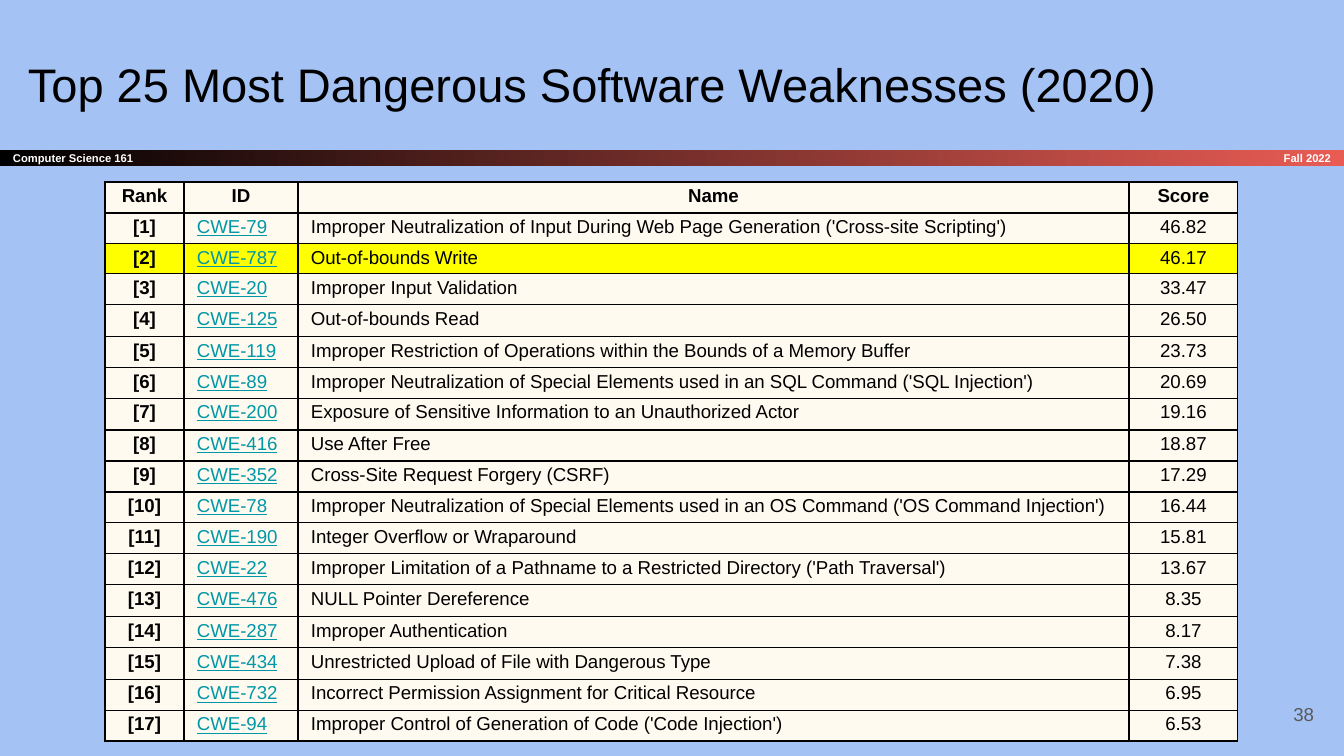
import dataclasses

import lxml.etree
import pptx
import pptx.dml.color
import pptx.enum.shapes
import pptx.enum.text
import pptx.oxml.ns
import pptx.util

ALIGN = pptx.enum.text.PP_ALIGN
ANCHOR = pptx.enum.text.MSO_ANCHOR


@dataclasses.dataclass(frozen=True)
class Theme:
    font: str = "Arial"
    background: str = "A4C2F4"
    ink: str = "000000"
    accent: str = "E85C54"
    light: str = "FFFFFF"
    muted: str = "595959"
    link: str = "0097A7"
    cell: str = "FFFAF0"
    highlight: str = "FFFF00"
    title_size: float = 25.2
    body_size: float = 10
    banner_size: float = 6
    border_width: float = 0.75


def px(length):
    return pptx.util.Emu(round(length * 914400 / 134.4))


def rgb(color):
    return pptx.dml.color.RGBColor.from_string(color)


class SlideBuilder:
    def __init__(self, deck, theme):
        self.theme = theme
        self.page = deck.slides.add_slide(deck.slide_layouts[6])
        fill = self.page.background.fill
        fill.solid()
        fill.fore_color.rgb = rgb(theme.background)

    def set_text(self, frame, text, size, color, align=ALIGN.LEFT, bold=False, underline=False):
        para = frame.paragraphs[0]
        para.add_run().text = text
        para.alignment = align
        font = para.font
        font.name = self.theme.font
        font.size = pptx.util.Pt(size)
        font.bold = bold
        font.underline = underline
        font.color.rgb = rgb(color)

    def fit(self, frame, anchor):
        frame.word_wrap = True
        frame.vertical_anchor = anchor
        frame.margin_left = frame.margin_right = px(13)
        frame.margin_top = frame.margin_bottom = px(13)

    def text(self, left, top, width, height, text, size, color, anchor=ANCHOR.MIDDLE, **style):
        box = self.page.shapes.add_textbox(px(left), px(top), px(width), px(height))
        self.fit(box.text_frame, anchor)
        self.set_text(box.text_frame, text, size, color, **style)

    def banner(self, left, top, width, height, text):
        bar = self.page.shapes.add_shape(
            pptx.enum.shapes.MSO_SHAPE.RECTANGLE, px(left), px(top), px(width), px(height))
        bar.shadow.inherit = False
        bar.line.fill.background()
        bar.fill.gradient()
        bar.fill.gradient_angle = 0
        for stop, position, color in zip(
                bar.fill.gradient_stops, (0, 1), (self.theme.ink, self.theme.accent)):
            stop.position = position
            stop.color.rgb = rgb(color)
        self.fit(bar.text_frame, ANCHOR.MIDDLE)
        self.set_text(bar.text_frame, text, self.theme.banner_size, self.theme.light, bold=True)

    def border(self, cell):
        properties = cell._tc.get_or_add_tcPr()
        name = pptx.oxml.ns.qn
        for side in ("a:lnL", "a:lnR", "a:lnT", "a:lnB"):
            line = lxml.etree.SubElement(
                properties, name(side), w=str(pptx.util.Pt(self.theme.border_width)))
            fill = lxml.etree.SubElement(line, name("a:solidFill"))
            lxml.etree.SubElement(fill, name("a:srgbClr"), val=self.theme.ink)

    def cell(self, cell, text, fill, **style):
        cell.margin_left = cell.margin_right = px(13)
        cell.margin_top = cell.margin_bottom = px(4)
        self.border(cell)
        cell.fill.solid()
        cell.fill.fore_color.rgb = rgb(fill)
        self.set_text(cell.text_frame, text, self.theme.body_size, **style)

    def table(self, left, top, widths, heights, rows, highlighted):
        table = self.page.shapes.add_table(
            len(rows), len(widths), px(left), px(top), px(sum(widths)), px(sum(heights))).table
        table.first_row = table.horz_banding = False
        for column, width in zip(table.columns, widths):
            column.width = px(width)
        for row, height in zip(table.rows, heights):
            row.height = px(height)
        for r, values in enumerate(rows):
            fill = self.theme.highlight if r == highlighted else self.theme.cell
            for c, value in enumerate(values):
                is_link = r > 0 and c == 1
                self.cell(
                    table.cell(r, c), value, fill,
                    color=self.theme.link if is_link else self.theme.ink,
                    align=ALIGN.LEFT if r > 0 and c in (1, 2) else ALIGN.CENTER,
                    bold=r == 0 or c == 0,
                    underline=is_link)


WEAKNESSES = [
    (79, "Improper Neutralization of Input During Web Page Generation ('Cross-site Scripting')", 46.82),
    (787, "Out-of-bounds Write", 46.17),
    (20, "Improper Input Validation", 33.47),
    (125, "Out-of-bounds Read", 26.50),
    (119, "Improper Restriction of Operations within the Bounds of a Memory Buffer", 23.73),
    (89, "Improper Neutralization of Special Elements used in an SQL Command ('SQL Injection')", 20.69),
    (200, "Exposure of Sensitive Information to an Unauthorized Actor", 19.16),
    (416, "Use After Free", 18.87),
    (352, "Cross-Site Request Forgery (CSRF)", 17.29),
    (78, "Improper Neutralization of Special Elements used in an OS Command ('OS Command Injection')", 16.44),
    (190, "Integer Overflow or Wraparound", 15.81),
    (22, "Improper Limitation of a Pathname to a Restricted Directory ('Path Traversal')", 13.67),
    (476, "NULL Pointer Dereference", 8.35),
    (287, "Improper Authentication", 8.17),
    (434, "Unrestricted Upload of File with Dangerous Type", 7.38),
    (732, "Incorrect Permission Assignment for Critical Resource", 6.95),
    (94, "Improper Control of Generation of Code ('Code Injection')", 6.53),
]
COLUMN_WIDTHS = [79, 114, 831, 109]
ROW_HEIGHTS = [31, 29, 29, 31, 32, 31, 30, 32, 31, 31, 30, 31, 31, 32, 31, 32, 31, 31]


def main():
    theme = Theme()
    deck = pptx.Presentation()
    deck.slide_width, deck.slide_height = px(1344), px(756)
    slide = SlideBuilder(deck, theme)
    slide.banner(0, 150, 1344, 16, "Computer Science 161")
    slide.text(1121, 150, 223, 16, "Fall 2022", theme.banner_size, theme.light,
               align=ALIGN.RIGHT, bold=True)
    slide.text(15, 40, 1253, 85, "Top 25 Most Dangerous Software Weaknesses (2020)",
               theme.title_size, theme.ink, anchor=ANCHOR.BOTTOM)
    slide.text(1246, 685, 81, 58, "38", theme.body_size, theme.muted, align=ALIGN.RIGHT)
    rows = [("Rank", "ID", "Name", "Score")]
    for rank, (number, name, score) in enumerate(WEAKNESSES, 1):
        rows.append((f"[{rank}]", f"CWE-{number}", name, f"{score:.2f}"))
    slide.table(105, 182, COLUMN_WIDTHS, ROW_HEIGHTS, rows, highlighted=2)
    deck.save("out.pptx")


if __name__ == "__main__":
    main()
